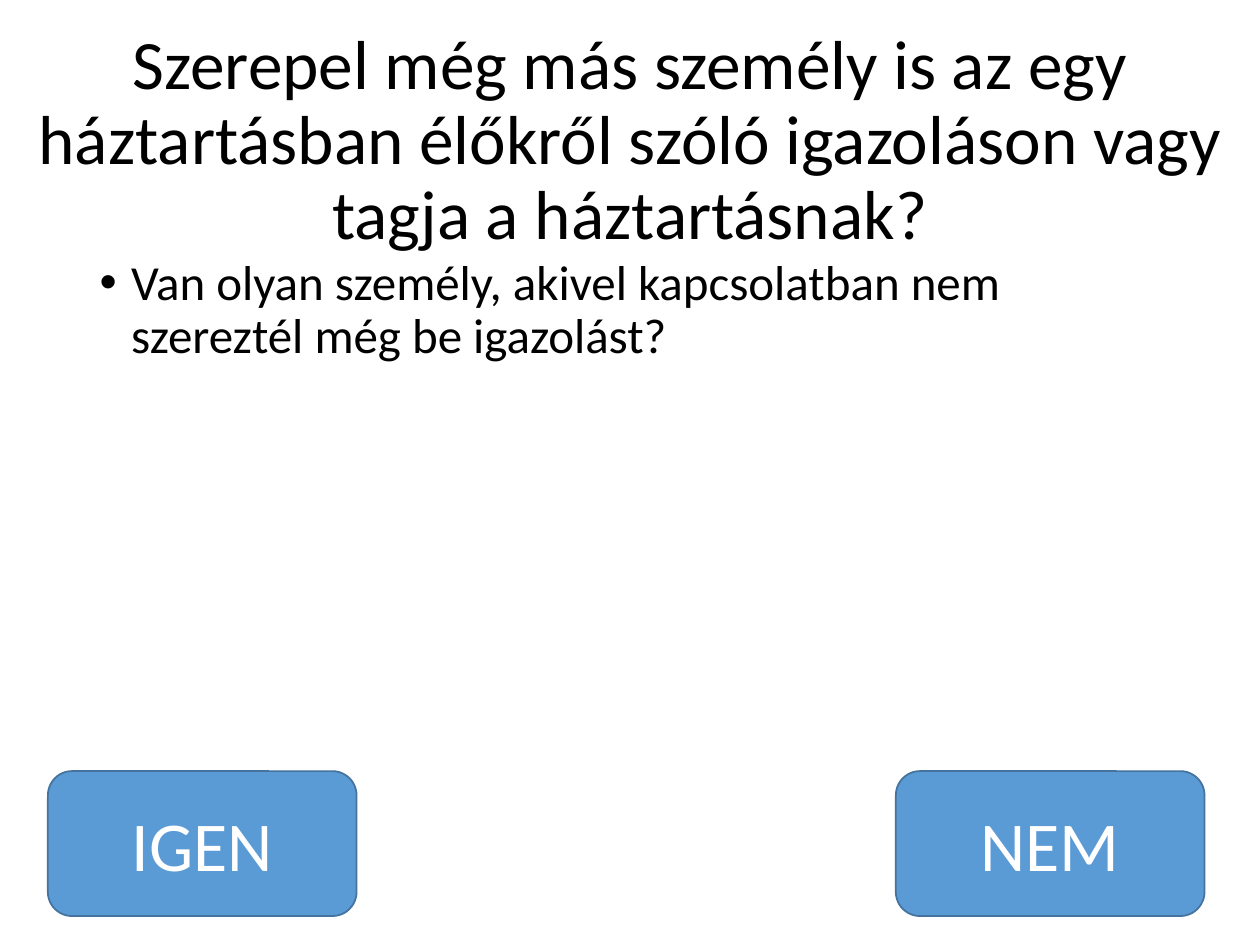
from lxml.etree import SubElement as Sub
from pptx import Presentation as Deck
from pptx.dml.color import RGBColor as Rgb
from pptx.enum.shapes import MSO_SHAPE as Kind
from pptx.enum.text import MSO_ANCHOR as Anchor, MSO_AUTO_SIZE as Fit, PP_ALIGN as Align
from pptx.oxml.ns import qn
from pptx.util import Pt

PX = 9144
HUE = {"text": "000000", "fill": "5B9BD5", "line": "43739E", "label": "FFFFFF"}


def put(shape, box):
    """Move a shape to a box given in px."""
    shape.left, shape.top, shape.width, shape.height = [n * PX for n in box]


def write(shape, text, size, hue, align, anchor, lead=None):
    """Write one run into a shape and return its paragraph."""
    frame = shape.text_frame
    frame.word_wrap = True
    frame.auto_size = Fit.NONE
    frame.vertical_anchor = anchor
    para = frame.paragraphs[0]
    para.alignment = align
    para.space_before = Pt(0)
    if lead:
        para.line_spacing = lead
    run = para.add_run()
    run.text = text
    run.font.name = "Calibri"
    run.font.size = Pt(size)
    run.font.color.rgb = Rgb.from_string(HUE[hue])
    return para


def add_title(slide, box, text):
    """Fill the title placeholder."""
    title = slide.shapes.title
    put(title, box)
    write(title, text, 39.6, "text", Align.CENTER, Anchor.MIDDLE, 0.9)


def add_body(slide, box, text):
    """Fill the body placeholder with one bullet."""
    body = slide.placeholders[1]
    put(body, box)
    para = write(body, text, 28, "text", Align.LEFT, Anchor.TOP, 0.9)
    props = para._p.get_or_add_pPr()
    props.set("marL", str(25 * PX))
    props.set("indent", str(-25 * PX))
    Sub(props, qn("a:buFont"), typeface="Arial")
    Sub(props, qn("a:buChar"), char="•")


def add_button(slide, box, text):
    """Draw one rounded answer button."""
    left, top, width, height = [n * PX for n in box]
    shape = slide.shapes.add_shape(Kind.ROUNDED_RECTANGLE, left, top, width, height)
    shape.shadow.inherit = False
    shape.fill.solid()
    shape.fill.fore_color.rgb = Rgb.from_string(HUE["fill"])
    shape.line.color.rgb = Rgb.from_string(HUE["line"])
    shape.line.width = Pt(1)
    write(shape, text, 40, "label", Align.CENTER, Anchor.MIDDLE)


def add_answers(slide, box, labels):
    """Spread the answer buttons from edge to edge of the box."""
    left, top, width, height = box
    wide = 245
    step = (width - wide) // (len(labels) - 1)
    for i, label in enumerate(labels):
        add_button(slide, (left + i * step, top, wide, height), label)


def main():
    """Build and save the slide."""
    deck = Deck()
    deck.slide_width, deck.slide_height = 1000 * PX, 750 * PX
    slide = deck.slides.add_slide(deck.slide_layouts[1])
    add_title(slide, (0, 40, 1000, 145),
              "Szerepel még más személy is az egy háztartásban élőkről szóló "
              "igazoláson vagy tagja a háztartásnak?")
    add_body(slide, (69, 200, 862, 402),
             "Van olyan személy, akivel kapcsolatban nem szereztél még be igazolást?")
    add_answers(slide, (38, 612, 918, 115), ("IGEN", "NEM"))
    deck.save("out.pptx")


if __name__ == "__main__":
    main()
